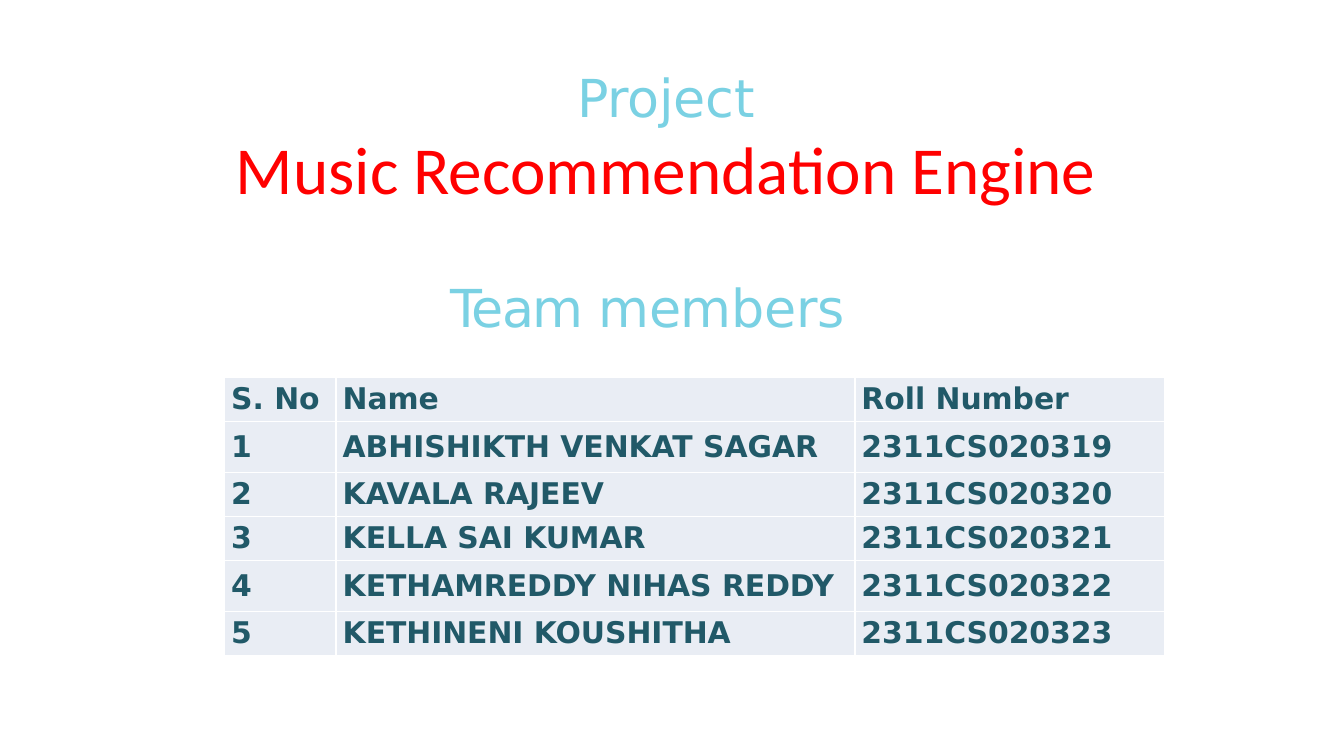
from lxml import etree
from pptx import Presentation
from pptx.dml.color import RGBColor
from pptx.enum.text import MSO_ANCHOR, PP_ALIGN
from pptx.oxml.ns import qn
from pptx.util import Inches, Pt

CENTER = PP_ALIGN.CENTER
MIDDLE = MSO_ANCHOR.MIDDLE
COLORS = {"sky": "7AD1E3", "red": "FF0000", "teal": "215968",
          "cell": "E9EDF4", "line": "FFFFFF"}
SANS = "DejaVu Sans"
WIDTH = 10
COLS = [0.83, 3.86, 2.31]
ROWS = [0.22, 0.38, 0.22, 0.22, 0.38, 0.22]
NAMES = ["ABHISHIKTH VENKAT SAGAR", "KAVALA RAJEEV", "KELLA SAI KUMAR",
         "KETHAMREDDY NIHAS REDDY", "KETHINENI KOUSHITHA"]
FIRST_ROLL = 319


def color(name):
    return RGBColor.from_string(COLORS[name])


def style(run, size, tint, face=SANS, bold=False, gap=0):
    font = run.font
    font.size, font.name, font.bold = Pt(size), face, bold
    font.color.rgb = color(tint)
    if gap:
        run._r.get_or_add_rPr().set("spc", str(round(gap * 100)))


def add_frame(slide, box):
    frame = slide.shapes.add_textbox(*map(Inches, box)).text_frame
    frame.word_wrap = True
    frame.margin_left = frame.margin_right = frame.margin_bottom = 0
    frame.margin_top = Inches(0.01)
    return frame


def add_title(slide, box):
    frame = add_frame(slide, box)
    frame.text = "Project\nMusic Recommendation Engine"
    top, name = frame.paragraphs
    top.alignment = name.alignment = CENTER
    top.space_before = Pt(0.9)
    top.line_spacing, name.line_spacing = Pt(33.4), Pt(43)
    style(top.runs[0], 28, "sky", gap=-0.1)
    style(name.runs[0], 36, "red", "Calibri")


def add_heading(slide, box):
    para = add_frame(slide, box).paragraphs[0]
    para.alignment = CENTER
    para.space_before = Pt(0.9)
    para._p.get_or_add_pPr().set("marL", str(Inches(0.07)))
    for text, gap in (("Team ", -0.9), ("members", -0.1)):
        run = para.add_run()
        run.text = text
        style(run, 28, "sky", gap=gap)


def add_border(cell):
    props = cell._tc.get_or_add_tcPr()
    for spot, side in enumerate(("lnL", "lnR", "lnT", "lnB")):
        line = etree.Element(qn("a:" + side), w=str(Pt(1)))
        fill = etree.SubElement(line, qn("a:solidFill"))
        etree.SubElement(fill, qn("a:srgbClr"), val=COLORS["line"])
        props.insert(spot, line)


def fill_cell(cell, text):
    cell.text = text
    cell.vertical_anchor = MIDDLE
    cell.margin_left = cell.margin_right = Inches(0.05)
    cell.margin_top = cell.margin_bottom = Inches(0.03)
    cell.fill.solid()
    cell.fill.fore_color.rgb = color("cell")
    style(cell.text_frame.paragraphs[0].runs[0], 16, "teal", bold=True)
    add_border(cell)


def add_team(slide, box):
    data = [("S. No", "Name", "Roll Number")]
    for num, name in enumerate(NAMES):
        data.append((str(num + 1), name, f"2311CS020{FIRST_ROLL + num}"))
    table = slide.shapes.add_table(len(ROWS), len(COLS),
                                   *map(Inches, box)).table
    for col, width in zip(table.columns, COLS):
        col.width = Inches(width)
    for row, height, texts in zip(table.rows, ROWS, data):
        row.height = Inches(height)
        for cell, text in zip(row.cells, texts):
            fill_cell(cell, text)


def main():
    deck = Presentation()
    # Wide 16:9 page
    deck.slide_width = Inches(WIDTH)
    deck.slide_height = Inches(WIDTH * 9 / 16)
    slide = deck.slides.add_slide(deck.slide_layouts[6])
    # Project name
    add_title(slide, (1.37, 0.48, 7.17, 1.09))
    # Team list
    add_heading(slide, (0.08, 2.04, 9.41, 1.03))
    add_team(slide, (1.67, 2.81, sum(COLS), sum(ROWS)))
    deck.save("out.pptx")


if __name__ == "__main__":
    main()
